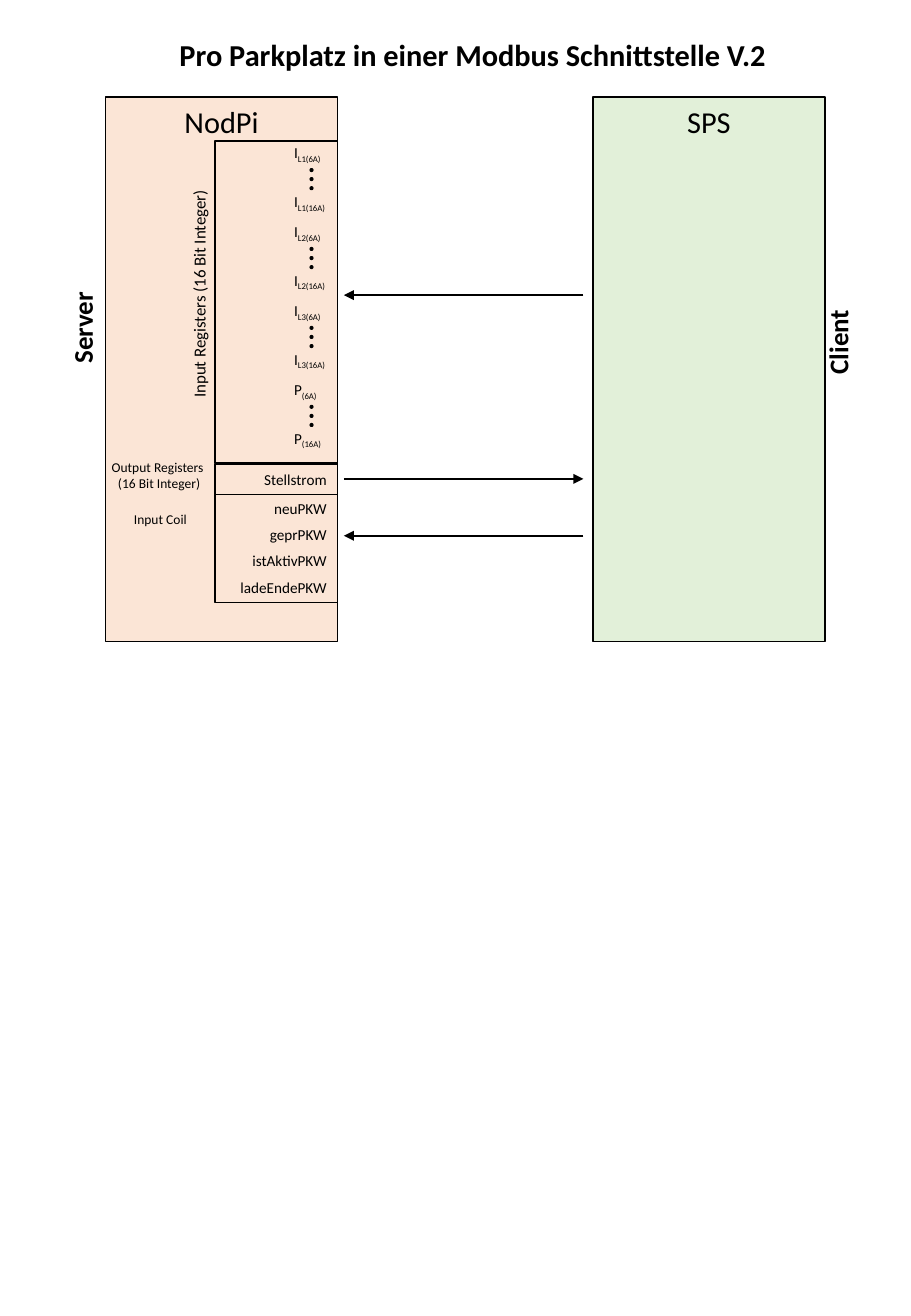
from collections import namedtuple

from lxml import etree
from pptx import Presentation
from pptx.dml.color import RGBColor
from pptx.enum.shapes import MSO_CONNECTOR, MSO_SHAPE
from pptx.enum.text import MSO_ANCHOR, PP_ALIGN
from pptx.oxml.ns import qn
from pptx.util import Cm, Pt

LEFT, CENTER, RIGHT = PP_ALIGN.LEFT, PP_ALIGN.CENTER, PP_ALIGN.RIGHT
TOP = MSO_ANCHOR.TOP
RECT, DOT = MSO_SHAPE.RECTANGLE, MSO_SHAPE.OVAL
STRAIGHT = MSO_CONNECTOR.STRAIGHT

FONT = "Calibri"
BLACK, PEACH, MINT = "000000", "FBE5D6", "E2F0D9"
LABEL_HEIGHT = 0.64

Box = namedtuple("Box", "x y w h")


def color(hex_code):
    """Turn a hex string into a colour."""
    return RGBColor.from_string(hex_code)


def inside(box, x, y, w, h):
    """Return a box placed relative to the corner of another box."""
    return Box(box.x + x, box.y + y, w, h)


def lengths(box):
    """Return the four values of a box as lengths."""
    return [Cm(value) for value in box]


def add_run(paragraph, text, size, bold=False, subscript=False):
    """Append one run of black text."""
    run = paragraph.add_run()
    run.text = text
    run.font.name, run.font.size, run.font.bold = FONT, Pt(size), bold
    run.font.color.rgb = color(BLACK)
    if subscript:
        run.font._element.set("baseline", "-25000")


def add_label(shapes, box, lines, size, align=CENTER, bold=False, rotation=0, sub=""):
    """Add a text box with one paragraph a line and an optional subscript."""
    label = shapes.add_textbox(*lengths(box))
    label.rotation = rotation
    frame = label.text_frame
    frame.word_wrap = True
    for index, line in enumerate(lines):
        paragraph = frame.add_paragraph() if index else frame.paragraphs[0]
        paragraph.alignment = align
        add_run(paragraph, line, size, bold)
    if sub:
        add_run(paragraph, sub, size, subscript=True)


def add_block(shapes, box, fill=None, kind=RECT):
    """Add an outlined shape, filled when a colour is given."""
    block = shapes.add_shape(kind, *lengths(box))
    block.shadow.inherit = False
    block.line.color.rgb = color(BLACK)
    block.line.width = Pt(1)
    if fill:
        block.fill.solid()
        block.fill.fore_color.rgb = color(fill)
    else:
        block.fill.background()
    return block


def add_arrow(shapes, start, end, y):
    """Add a horizontal arrow pointing at its end."""
    arrow = shapes.add_connector(STRAIGHT, Cm(start), Cm(y), Cm(end), Cm(y))
    arrow.line.color.rgb = color(BLACK)
    arrow.line.width = Pt(1)
    etree.SubElement(arrow.line._get_or_add_ln(), qn("a:tailEnd"), type="triangle")
    etree.SubElement(arrow._element.spPr, qn("a:effectLst"))


def add_device(shapes, box, name, fill):
    """Add a device panel with its name at the top."""
    frame = add_block(shapes, box, fill).text_frame
    frame.vertical_anchor = TOP
    frame.paragraphs[0].alignment = CENTER
    add_run(frame.paragraphs[0], name, 18)


def add_register_range(shapes, box, symbol, phase):
    """Add the first and last register of a range with three dots between."""
    members = shapes.add_group_shape().shapes
    for row, current in enumerate(("6A", "16A")):
        add_label(members, inside(box, 0, row * 1.02, box.w, LABEL_HEIGHT),
                  [symbol], 9, LEFT, sub=f"{phase}({current})")
    for step in range(3):
        add_block(members, inside(box, 0.59, 0.66 + step * 0.19, 0.05, 0.05), BLACK, DOT)


def add_server(shapes, box):
    """Add the server panel with its registers and coils."""
    add_device(shapes, box, "NodPi", PEACH)
    for top, height in ((0.92, 6.73), (7.67, 0.64), (8.31, 2.26)):
        add_block(shapes, inside(box, 2.29, top, 2.56, height))

    ranges = (("I", "L1"), ("I", "L2"), ("I", "L3"), ("P", ""))
    for index, (symbol, phase) in enumerate(ranges):
        range_box = inside(box, 3.69, 0.84 + index * 1.65, 1.3, 1.66)
        add_register_range(shapes, range_box, symbol, phase)

    values = [("Stellstrom", 7.67)]
    coils = ("neuPKW", "geprPKW", "istAktivPKW", "ladeEndePKW")
    values += [(coil, 8.28 + index * 0.55) for index, coil in enumerate(coils)]
    for value, top in values:
        add_label(shapes, inside(box, 1.2, top, 3.67, LABEL_HEIGHT), [value], 9, RIGHT)

    add_label(shapes, inside(box, -0.61, 3.63, 5.13, 0.68),
              ["Input Registers (16 Bit Integer)"], 10, LEFT, rotation=270)
    add_label(shapes, inside(box, -0.15, 7.44, 2.54, 0.94),
              ["Output Registers ", "(16 Bit Integer)"], 8)
    add_label(shapes, inside(box, 0, 8.53, 2.29, 0.6), ["Input Coil"], 8)


def add_traffic(shapes, box):
    """Add the arrows that cross the gap between the panels."""
    near, far = box.x + 0.13, box.x + box.w - 0.2
    add_arrow(shapes, far, near, box.y + 4.14)
    add_arrow(shapes, near, far, box.y + 7.98)
    add_arrow(shapes, far, near, box.y + 9.17)


def add_role(shapes, box, role):
    """Add an upright role name beside a panel."""
    add_label(shapes, box, [role], 16, bold=True, rotation=270)


def build_slide(shapes):
    """Place the heading, both panels and the traffic between them."""
    server = Box(2.21, 2.03, 4.85, 11.38)
    client = server._replace(x=12.4)
    gap_left = server.x + server.w
    add_label(shapes, Box(3.25, 0.64, 13.28, 1.02),
              ["Pro Parkplatz in einer Modbus Schnittstelle V.2"], 18, bold=True)
    add_server(shapes, server)
    add_device(shapes, client, "SPS", MINT)
    add_traffic(shapes, server._replace(x=gap_left, w=client.x - gap_left))
    add_role(shapes, inside(server, -3.05, 4.35, 5.13, 0.94), "Server")
    add_role(shapes, inside(client, 2.56, 4.65, 5.13, 0.94), "Client")


deck = Presentation()
deck.slide_width, deck.slide_height = Cm(19.05), Cm(27.51)
build_slide(deck.slides.add_slide(deck.slide_layouts[6]).shapes)
deck.save("out.pptx")
